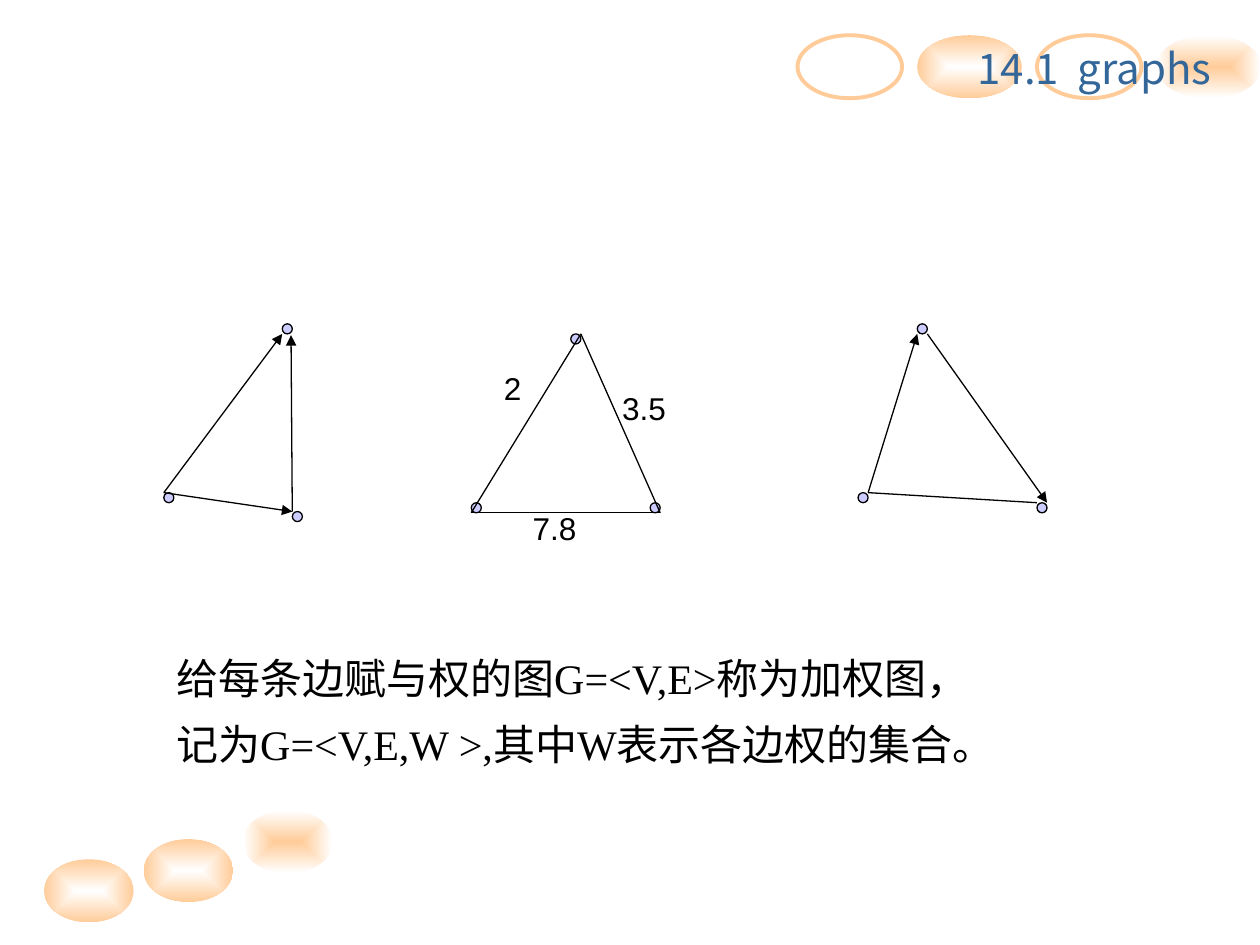
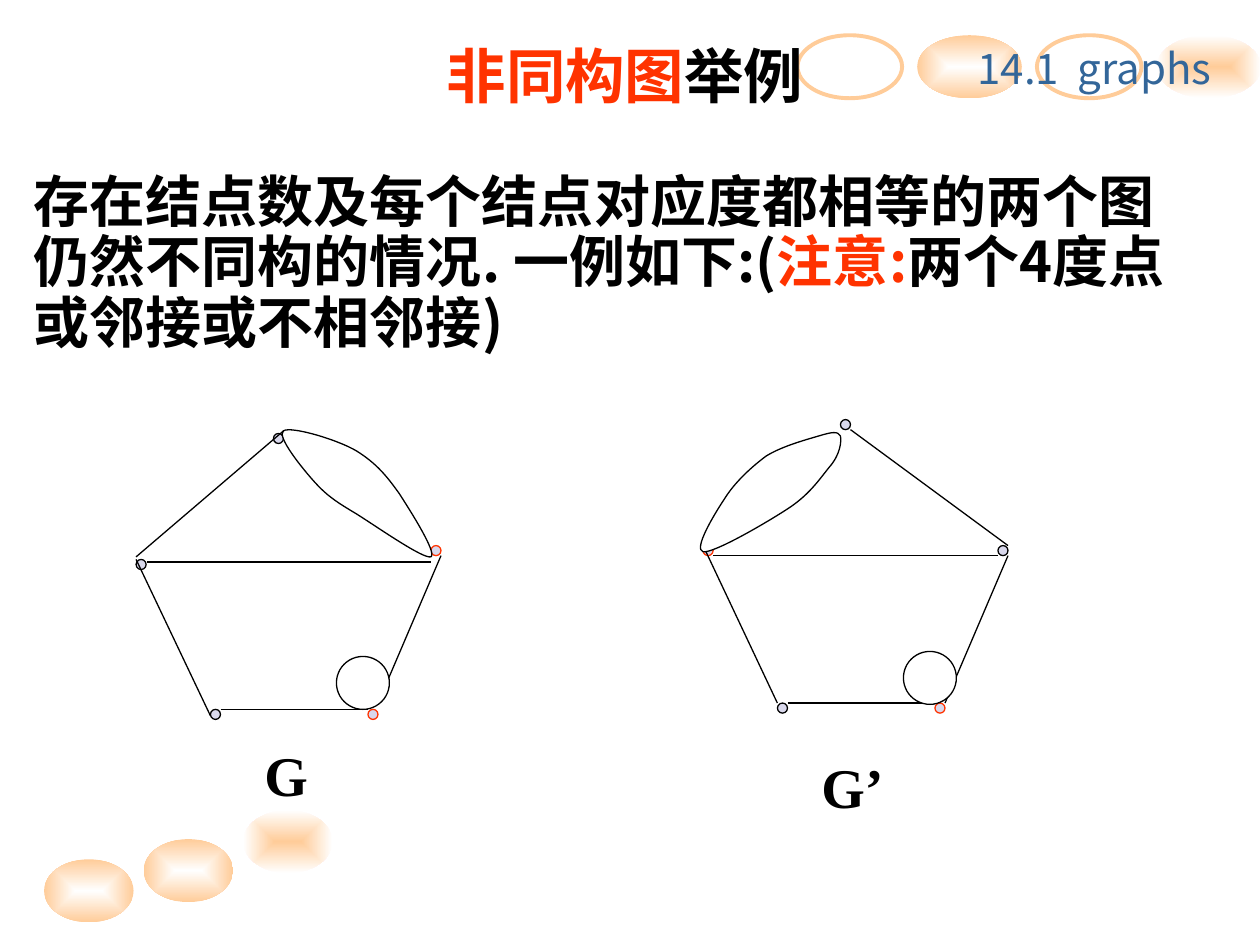
from dataclasses import dataclass

from lxml.etree import SubElement
from pptx import Presentation
from pptx.dml.color import RGBColor
from pptx.enum.shapes import MSO_CONNECTOR, MSO_SHAPE
from pptx.enum.text import MSO_ANCHOR, PP_ALIGN
from pptx.oxml.ns import qn
from pptx.util import Inches, Pt


@dataclass(frozen=True)
class Theme:
    black: str = "000000"
    white: str = "FFFFFF"
    red: str = "FF3300"
    peach: str = "FFCC99"
    blue: str = "336699"
    periwinkle: str = "CCCCFF"
    lavender: str = "D9D8EC"
    sans: str = "Noto Sans CJK SC"
    serif: str = "Times New Roman"
    label_font: str = "Arial"
    title_size: float = 34
    large_size: float = 32
    body_size: float = 24
    label_size: float = 18
    thin: float = 0.75
    ring: float = 2.25
    node: float = 0.08
    loop: float = 0.42


THEME = Theme()
TOP_LEFT = (0, 0)
TOP_RIGHT = (THEME.node, 0)
BOTTOM_LEFT = (0, THEME.node)
BOTTOM_RIGHT = (THEME.node, THEME.node)


def color(value):
    return RGBColor.from_string(value)


def style_shape(shape, fill, line, width=THEME.thin):
    shape.shadow.inherit = False
    if fill:
        shape.fill.solid()
        shape.fill.fore_color.rgb = color(fill)
    else:
        shape.fill.background()
    if line:
        shape.line.color.rgb = color(line)
        shape.line.width = Pt(width)
    else:
        shape.line.fill.background()


def add_ellipse(slide, box, fill=None, line=None, width=THEME.thin):
    shape = slide.shapes.add_shape(MSO_SHAPE.OVAL, *map(Inches, box))
    style_shape(shape, fill, line, width)
    return shape


def add_glow(slide, box, first, last):
    shape = add_ellipse(slide, box)
    shape.fill.gradient()
    for stop, position, value in zip(shape.fill.gradient_stops, (0, 1), (first, last)):
        stop.position = position
        stop.color.rgb = color(value)
    gradient = shape.fill._xPr.find(qn("a:gradFill"))
    gradient.remove(gradient.find(qn("a:lin")))
    center = SubElement(gradient, qn("a:path"), {"path": "rect"})
    SubElement(center, qn("a:fillToRect"), dict.fromkeys("ltrb", "50000"))


def add_run(paragraph, text, font, size, value, bold=False):
    run = paragraph.add_run()
    run.text = text
    run.font.name = font
    run.font.size = Pt(size)
    run.font.bold = bold
    run.font.color.rgb = color(value)
    SubElement(run.font._element, qn("a:ea"), {"typeface": THEME.sans})


def add_text(slide, box, paragraphs, font, size, bold=False, spacing=1.0, before=0,
             align=PP_ALIGN.LEFT, anchor=MSO_ANCHOR.TOP, wrap=True):
    frame = slide.shapes.add_textbox(*map(Inches, box)).text_frame
    frame.word_wrap = wrap
    frame.vertical_anchor = anchor
    for index, runs in enumerate(paragraphs):
        paragraph = frame.add_paragraph() if index else frame.paragraphs[0]
        paragraph.alignment = align
        paragraph.line_spacing = spacing
        paragraph.space_before = Pt(before if index else 0)
        for text, value in runs:
            add_run(paragraph, text, font, size, value, bold)
    return frame


def add_header(slide, left, top):
    for index in range(4):
        box = (left + index * 0.95, top, 0.83, 0.5)
        if index % 2 == 0:
            add_ellipse(slide, box, line=THEME.peach, width=THEME.ring)
        elif index == 1:
            add_glow(slide, box, THEME.white, THEME.peach)
        else:
            add_glow(slide, box, THEME.peach, THEME.white)
    runs = [(text, THEME.blue) for text in ("14.1", " ", "graphs")]
    frame = add_text(slide, (left + 1.33, top + 0.01, 2.17, 0.34), [runs],
                     THEME.sans, THEME.body_size, wrap=False)
    gap = frame.paragraphs[0].runs[1]
    gap.font._element.set("spc", "540")


def add_footer(slide, left, top):
    for index, drop in enumerate((0.39, 0.23, 0)):
        stops = (THEME.white, THEME.peach) if index < 2 else (THEME.peach, THEME.white)
        add_glow(slide, (left + index * 0.79, top + drop, 0.71, 0.5), *stops)


def add_edge(slide, start, end, arrow=False):
    edge = slide.shapes.add_connector(MSO_CONNECTOR.STRAIGHT, *map(Inches, start + end))
    edge.line.color.rgb = color(THEME.black)
    edge.line.width = Pt(THEME.thin)
    if arrow:
        SubElement(edge.line._get_or_add_ln(), qn("a:tailEnd"), {"type": "triangle"})
    SubElement(edge._element.spPr, qn("a:effectLst"))


def add_graph(slide, left, top, nodes, edges, fill, red_nodes=()):
    for name, (x, y) in nodes.items():
        line = THEME.red if name in red_nodes else THEME.black
        add_ellipse(slide, (left + x, top + y, THEME.node, THEME.node), fill, line)

    def anchor(name, offset):
        x, y = nodes[name]
        return left + x + offset[0], top + y + offset[1]

    for start, start_offset, end, end_offset, *arrow in edges:
        add_edge(slide, anchor(start, start_offset), anchor(end, end_offset), bool(arrow))


def bend_segments(shape):
    lines = list(shape._element.iter(qn("a:lnTo")))
    for index in range(0, len(lines), 3):
        outline = lines[index].getparent()
        curve = SubElement(outline, qn("a:cubicBezTo"))
        lines[index].addprevious(curve)
        for line in lines[index:index + 3]:
            curve.append(line[0])
            outline.remove(line)


def add_double_edge(slide, left, top, start, segments):
    def place(point):
        return Inches(left + point[0]), Inches(top + point[1])

    builder = slide.shapes.build_freeform(*place(start))
    builder.add_line_segments([place(point) for segment in segments for point in segment])
    shape = builder.convert_to_shape()
    bend_segments(shape)
    style_shape(shape, THEME.white, THEME.black)


def add_multigraph(slide, left, top, nodes, edges, red_nodes, loop_top, double_edge,
                   caption, caption_at):
    add_graph(slide, left, top, nodes, edges, THEME.lavender, red_nodes)
    add_double_edge(slide, left, top, *double_edge)
    add_ellipse(slide, (left + 1.59, top + loop_top, THEME.loop, THEME.loop),
                THEME.white, THEME.black)
    x, y = caption_at
    add_text(slide, (left + x, top + y, 0.75, 0.64), [[(caption, THEME.black)]],
             THEME.serif, THEME.large_size, bold=True)


def new_slide(presentation):
    slide = presentation.slides.add_slide(presentation.slide_layouts[6])
    add_footer(slide, 0.35, 6.43)
    add_header(slide, 6.33, 0.28)
    return slide


def weighted_graph_slide(presentation):
    slide = new_slide(presentation)
    definition = ("给每条边赋与权的图G=<V,E>称为加权图，",
                  "记为G=<V,E,W >,其中W表示各边权的集合。")
    add_text(slide, (1.3, 5.09, 7.32, 1.5), [[(line, THEME.black)] for line in definition],
             THEME.serif, THEME.body_size, spacing=1.1, before=6)
    graphs = (
        (1.3, 2.57, {"top": (0.94, 0), "left": (0, 1.34), "right": (1.02, 1.49)}, (
            ("left", TOP_LEFT, "top", BOTTOM_LEFT, "arrow"),
            ("left", TOP_LEFT, "right", TOP_LEFT, "arrow"),
            ("right", TOP_LEFT, "top", (0.07, 0.09), "arrow"))),
        (3.74, 2.65, {"top": (0.79, 0), "left": (0, 1.34), "right": (1.42, 1.34)}, (
            ("left", BOTTOM_LEFT, "top", TOP_RIGHT),
            ("right", BOTTOM_RIGHT, "top", TOP_RIGHT),
            ("left", BOTTOM_LEFT, "right", BOTTOM_RIGHT))),
        (6.81, 2.57, {"top": (0.47, 0), "left": (0, 1.34), "right": (1.42, 1.42)}, (
            ("left", TOP_RIGHT, "right", TOP_LEFT),
            ("left", TOP_RIGHT, "top", BOTTOM_LEFT, "arrow"),
            ("top", BOTTOM_RIGHT, "right", TOP_RIGHT, "arrow"))),
    )
    for left, top, nodes, edges in graphs:
        add_graph(slide, left, top, nodes, edges, THEME.periwinkle)
    for weight, left, top, width in (("2", 3.9, 2.88, 0.39), ("3.5", 4.84, 3.04, 0.63),
                                     ("7.8", 4.13, 3.99, 0.63)):
        add_text(slide, (left, top, width, 0.4), [[(weight, THEME.black)]],
                 THEME.label_font, THEME.label_size)


def non_isomorphic_slide(presentation):
    slide = new_slide(presentation)
    add_text(slide, (0.17, 0.25, 9.58, 0.75),
             [[("非同构图", THEME.red), ("举例", THEME.black)]],
             THEME.sans, THEME.title_size, bold=True, spacing=0.9,
             align=PP_ALIGN.CENTER, anchor=MSO_ANCHOR.MIDDLE)
    add_text(slide, (0.17, 1.33, 9.5, 1.58), [[
        ("存在结点数及每个结点对应度都相等的两个图仍然不同构的情况. 一例如下:(", THEME.black),
        ("注意:", THEME.red),
        ("两个4度点或邻接或不相邻接)", THEME.black)]],
        THEME.sans, THEME.large_size, bold=True, spacing=0.9)
    add_multigraph(
        slide, 1.08, 3.44,
        {"west": (0, 1), "southwest": (0.59, 2.19), "southeast": (1.84, 2.19),
         "east": (2.34, 0.89), "top": (1.09, 0)},
        (("west", (0.09, 0.02), "east", (0, 0.13)),
         ("southwest", TOP_RIGHT, "southeast", TOP_LEFT),
         ("southwest", (0, 0.05), "west", TOP_LEFT),
         ("east", BOTTOM_RIGHT, "southeast", (0.08, -0.05)),
         ("top", (0.08, -0.02), "west", (0, -0.02))),
        ("southeast", "east"), 1.77,
        ((1.17, -0.02), (
            ((1.11, 0.02), (1.32, 0.28), (1.42, 0.39)),
            ((1.52, 0.5), (1.6, 0.55), (1.75, 0.64)),
            ((1.91, 0.74), (2.28, 1), (2.34, 0.98)),
            ((2.39, 0.95), (2.18, 0.62), (2.09, 0.48)),
            ((1.99, 0.34), (1.91, 0.24), (1.75, 0.14)),
            ((1.6, 0.05), (1.23, -0.06), (1.17, -0.02)))),
        "G", (0.92, 2.39))
    add_multigraph(
        slide, 5.58, 3.33,
        {"west": (0, 1), "southwest": (0.59, 2.25), "southeast": (1.84, 2.25),
         "east": (2.34, 1), "top": (1.09, 0)},
        (("west", BOTTOM_RIGHT, "east", BOTTOM_LEFT),
         ("southwest", TOP_RIGHT, "southeast", TOP_LEFT),
         ("southwest", TOP_LEFT, "west", TOP_LEFT),
         ("east", BOTTOM_RIGHT, "southeast", TOP_RIGHT),
         ("top", BOTTOM_RIGHT, "east", TOP_RIGHT)),
        ("southeast", "west"), 1.84,
        ((1.09, 0.13), (
            ((1.07, 0.09), (1.02, 0.1), (0.92, 0.13)),
            ((0.82, 0.16), (0.63, 0.21), (0.5, 0.29)),
            ((0.38, 0.38), (0.25, 0.5), (0.17, 0.63)),
            ((0.09, 0.75), (-0.08, 1.03), (0, 1.05)),
            ((0.09, 1.06), (0.5, 0.82), (0.67, 0.71)),
            ((0.84, 0.6), (0.92, 0.48), (1, 0.38)),
            ((1.09, 0.28), (1.1, 0.17), (1.09, 0.13)))),
        "G’", (0.84, 2.59))


def main():
    presentation = Presentation()
    presentation.slide_width = Inches(10)
    presentation.slide_height = Inches(7.5)
    weighted_graph_slide(presentation)
    non_isomorphic_slide(presentation)
    presentation.save("out.pptx")


if __name__ == "__main__":
    main()
